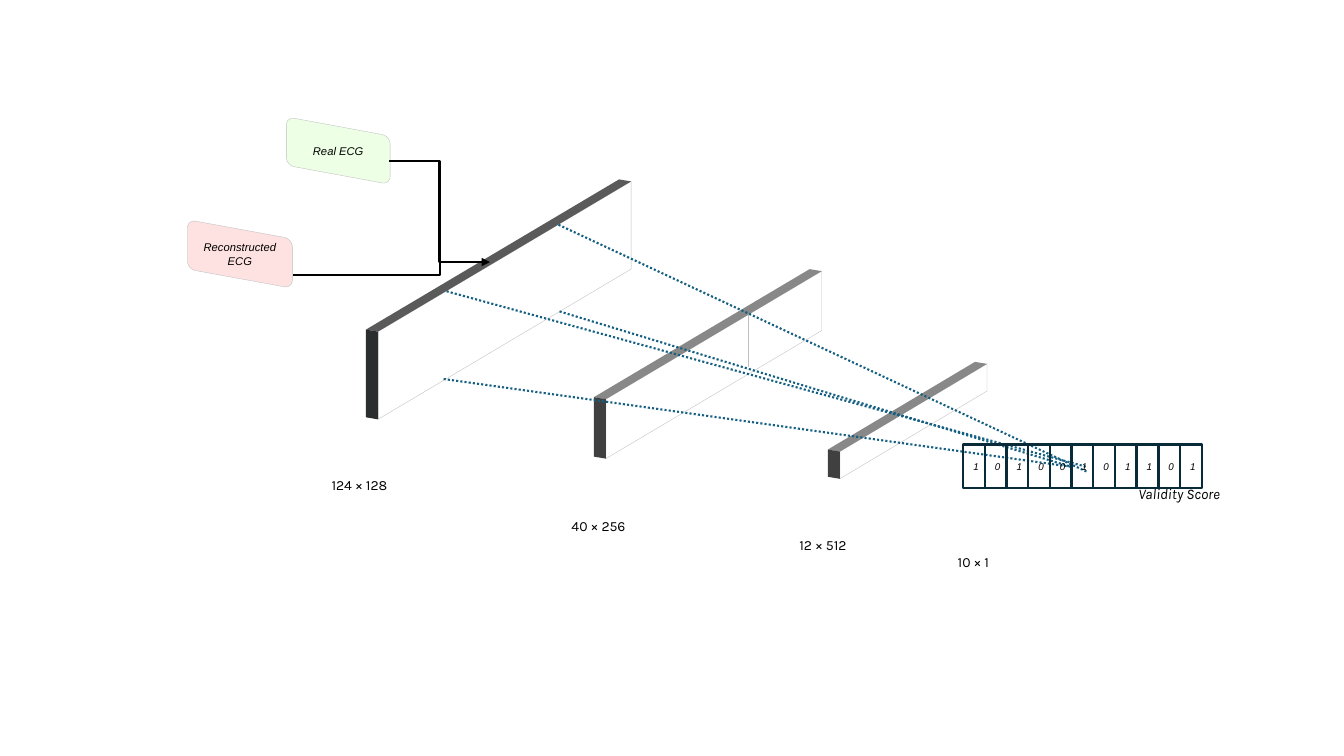
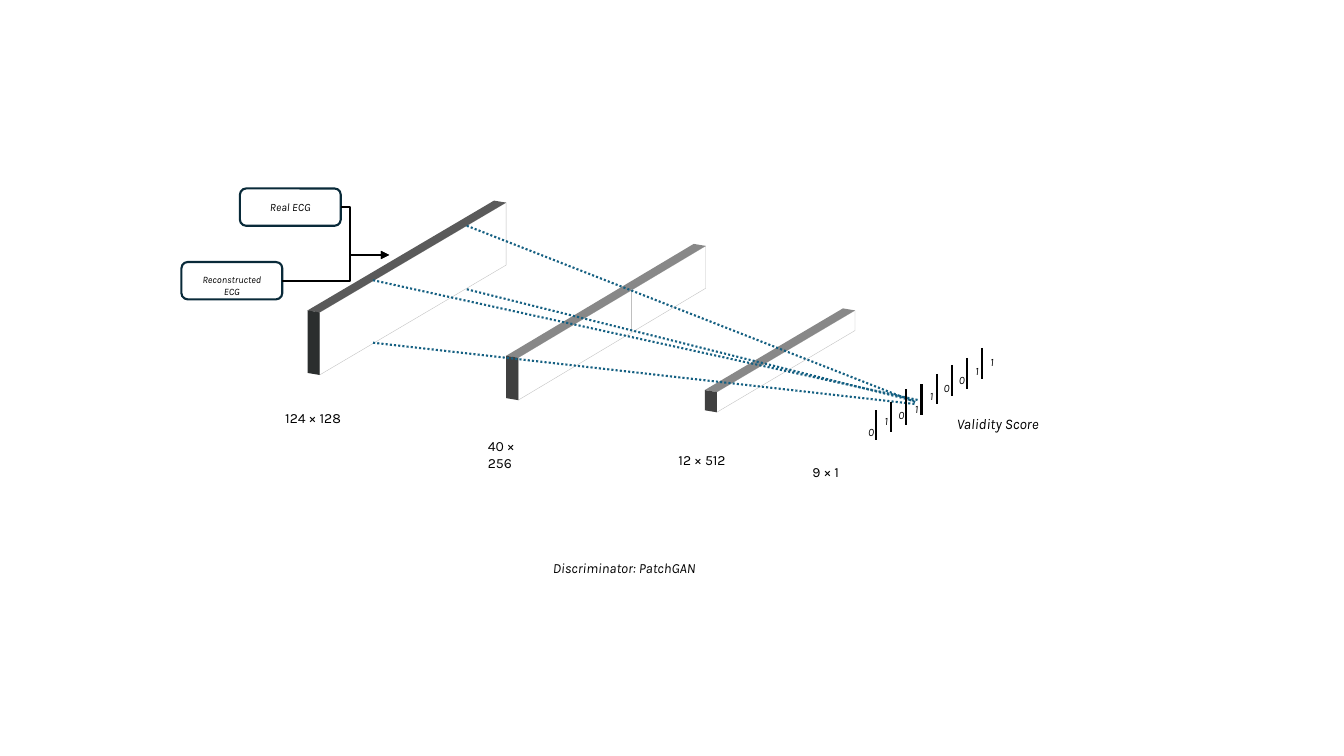
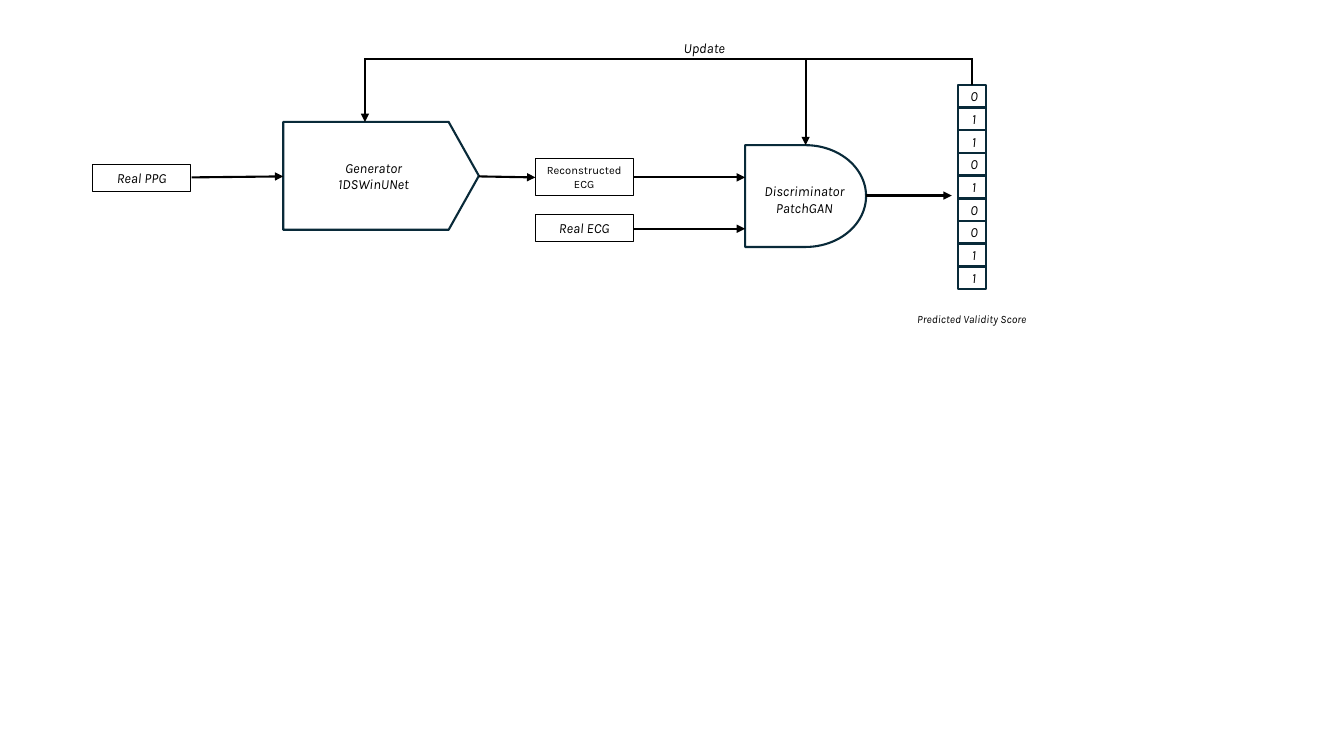
import dataclasses
import math
import typing

import lxml.etree
import pptx
import pptx.dml.color
import pptx.enum.dml
import pptx.enum.shapes
import pptx.enum.text
import pptx.oxml.ns
import pptx.util

Inches = pptx.util.Inches
Pt = pptx.util.Pt
Kind = pptx.enum.shapes.MSO_SHAPE
Align = pptx.enum.text.PP_ALIGN
Anchor = pptx.enum.text.MSO_ANCHOR
qn = pptx.oxml.ns.qn

Point = tuple[float, float]
Box = tuple[float, float, float, float]
INSETS: Box = (0.1, 0.05, 0.1, 0.05)
DIGIT_INSETS: Box = (0.04, 0, 0, 0)


@dataclasses.dataclass(frozen=True)
class Theme:
    ink: str = "000000"
    navy: str = "092A39"
    teal: str = "156082"
    white: str = "FFFFFF"
    hairline: str = "BFBFBF"
    real: str = "EDFFE5"
    fake: str = "FEE2E2"
    dark_top: str = "5A5A5A"
    dark_side: str = "2B2E2E"
    light_top: str = "888888"
    light_side: str = "404040"
    font: str = "Karla"
    font_alt: str = "Arial"
    body: float = 10
    score: float = 10.5
    small: float = 8
    tiny: float = 7
    stroke: float = 1.5
    thin: float = 0.75
    hair: float = 0.25


THEME = Theme()


class Slab(typing.NamedTuple):
    """A layer drawn as a slanted block, placed by the top left corner of its face."""
    x: float
    y: float
    run: float
    rise: float
    height: float
    top: str = THEME.light_top
    side: str = THEME.light_side


class Label(typing.NamedTuple):
    text: str
    box: Box


class Ray(typing.NamedTuple):
    start: Point
    end: Point


def rgb(code: str) -> pptx.dml.color.RGBColor:
    return pptx.dml.color.RGBColor.from_string(code)


def write(frame, text: str, *, size: float = THEME.body, font: str = THEME.font,
          italic: bool = True, align=Align.CENTER, anchor=Anchor.MIDDLE,
          insets: Box = INSETS) -> None:
    """Fill a text frame, one paragraph per line; insets run left, top, right, bottom."""
    frame.word_wrap = True
    frame.vertical_anchor = anchor
    (frame.margin_left, frame.margin_top,
     frame.margin_right, frame.margin_bottom) = map(Inches, insets)
    for index, line in enumerate(text.split("\n")):
        paragraph = frame.add_paragraph() if index else frame.paragraphs[0]
        paragraph.alignment = align
        run = paragraph.add_run()
        run.text = line
        run.font.name = font
        run.font.size = Pt(size)
        run.font.italic = italic
        run.font.color.rgb = rgb(THEME.ink)


def add_text(slide, text: str, box: Box, **fmt) -> None:
    frame = slide.shapes.add_textbox(*map(Inches, box)).text_frame
    write(frame, text, **{"anchor": Anchor.TOP, **fmt})


def paint(shape, fill: str | None, line: str | None, width: float) -> None:
    shape.shadow.inherit = False
    if fill:
        shape.fill.solid()
        shape.fill.fore_color.rgb = rgb(fill)
    else:
        shape.fill.background()
    if line:
        shape.line.color.rgb = rgb(line)
        shape.line.width = Pt(width)
    else:
        shape.line.fill.background()


def add_block(slide, kind, box: Box, text: str = "", *, line: str = THEME.navy,
              width: float = THEME.stroke, adjust: float | None = None, **fmt) -> None:
    block = slide.shapes.add_shape(kind, *map(Inches, box))
    paint(block, None, line, width)
    if adjust is not None:
        block.adjustments[0] = adjust
    write(block.text_frame, text, **fmt)


def add_polygon(slide, points: list[Point], fill: str, line: str | None = None):
    corners = [(Inches(x), Inches(y)) for x, y in points]
    builder = slide.shapes.build_freeform(*corners[0], scale=1.0)
    builder.add_line_segments(corners[1:], close=True)
    polygon = builder.convert_to_shape()
    paint(polygon, fill, line, THEME.hair)
    return polygon


def add_line(slide, start: Point, end: Point, *, color: str = THEME.ink,
             width: float = THEME.stroke, arrow: bool = False, dotted: bool = False,
             bend: float | None = None) -> None:
    """Join two points; bend is the share of the width at which an elbow turns."""
    kinds = pptx.enum.shapes.MSO_CONNECTOR
    kind = kinds.STRAIGHT if bend is None else kinds.ELBOW
    connector = slide.shapes.add_connector(kind, *map(Inches, (*start, *end)))
    connector.line.color.rgb = rgb(color)
    connector.line.width = Pt(width)
    if dotted:
        connector.line.dash_style = pptx.enum.dml.MSO_LINE.ROUND_DOT
    properties = connector._element.spPr
    if arrow:
        lxml.etree.SubElement(properties.find(qn("a:ln")), qn("a:tailEnd"), type="triangle")
    if bend is not None:
        guides = properties.find(qn("a:prstGeom")).find(qn("a:avLst"))
        lxml.etree.SubElement(guides, qn("a:gd"), name="adj1",
                              fmla=f"val {round(bend * 100000)}")
    lxml.etree.SubElement(properties, qn("a:effectLst"))


def add_slab(slide, slab: Slab) -> None:
    depth_x, depth_y = 0.12, 0.02
    x, y, height = slab.x, slab.y, slab.height
    far_x, far_y = x + slab.run, y - slab.rise
    back = (x - depth_x, y - depth_y)
    far_back = (far_x - depth_x, far_y - depth_y)
    add_polygon(slide, [(x, y), (far_x, far_y), (far_x, far_y + height), (x, y + height)],
                THEME.white, THEME.hairline)
    add_polygon(slide, [(x, y), back, far_back, (far_x, far_y)], slab.top)
    add_polygon(slide, [(x, y), back, (back[0], back[1] + height), (x, y + height)], slab.side)


def add_skewed_card(slide, text: str, box: Box, fill: str) -> None:
    """Draw a rounded card whose right side hangs lower than its left side."""
    left, top, width, height = box
    radius, drop, steps = 0.08, 0.19, 6
    centers = [(width - radius, height - radius), (radius, height - radius),
               (radius, radius), (width - radius, radius)]
    outline = []
    for quarter, (center_x, center_y) in enumerate(centers):
        for step in range(steps + 1):
            angle = (quarter + step / steps) * math.pi / 2
            x = center_x + radius * math.cos(angle)
            y = center_y + radius * math.sin(angle)
            outline.append((left + x, top + y + drop * x / width))
    card = add_polygon(slide, outline, fill, THEME.hairline)
    write(card.text_frame, text, size=THEME.small, font=THEME.font_alt)


def add_network(slide, slabs: list[Slab], seam: Ray, rays: list[Ray],
                sizes: list[Label]) -> None:
    for slab in slabs:
        add_slab(slide, slab)
    add_line(slide, *seam, color=THEME.hairline, width=THEME.hair)
    for ray in rays:
        add_line(slide, *ray, color=THEME.teal, dotted=True)
    for label in sizes:
        add_text(slide, label.text, label.box, italic=False, align=Align.LEFT)


def add_score_cells(slide, digits: str, first: Box, step: Point, **fmt) -> None:
    left, top, width, height = first
    for index, digit in enumerate(digits):
        box = (left + index * step[0], top + index * step[1], width, height)
        add_block(slide, Kind.RECTANGLE, box, digit, insets=DIGIT_INSETS, **fmt)


def build_skewed_discriminator(slide) -> None:
    add_network(
        slide,
        [Slab(3.75, 3.29, 2.51, 1.49, 0.87, THEME.dark_top, THEME.dark_side),
         Slab(6.01, 3.96, 2.14, 1.27, 0.59),
         Slab(8.33, 4.48, 1.46, 0.87, 0.27)],
        Ray((7.42, 3.12), (7.42, 3.64)),
        [Ray((4.43, 2.89), (10.77, 4.63)), Ray((5.54, 2.23), (10.78, 4.68)),
         Ray((4.4, 3.76), (10.62, 4.63)), Ray((5.55, 3.09), (10.62, 4.63))],
        [Label("124 × 128", (3.19, 4.68, 0.93, 0.38)),
         Label("40 × 256", (5.57, 5.08, 0.84, 0.38)),
         Label("12 × 512", (7.83, 5.27, 0.84, 0.38)),
         Label("10 × 1", (9.4, 5.44, 0.56, 0.27))])
    add_text(slide, "Validity Score", (10.87, 4.76, 1.65, 0.4), size=THEME.score)
    add_skewed_card(slide, "Real ECG", (2.84, 1.16, 1.03, 0.48), THEME.real)
    add_skewed_card(slide, "Reconstructed ECG", (1.86, 2.18, 1.04, 0.49), THEME.fake)
    add_score_cells(slide, "10100101101", (9.55, 4.41, 0.22, 0.43), (0.215, 0),
                    size=THEME.tiny, font=THEME.font_alt)
    add_line(slide, (3.86, 1.6), (4.86, 2.6), arrow=True, bend=0.5)
    add_line(slide, (2.91, 2.73), (4.36, 2.6), bend=1)


def build_discriminator(slide) -> None:
    add_text(slide, "Discriminator: PatchGAN", (4.89, 5.5, 2.6, 0.27))
    add_network(
        slide,
        [Slab(3.17, 3.1, 1.85, 1.09, 0.62, THEME.dark_top, THEME.dark_side),
         Slab(5.14, 3.55, 1.86, 1.11, 0.42),
         Slab(7.11, 3.89, 1.37, 0.81, 0.2)],
        Ray((6.26, 2.87), (6.26, 3.27)),
        [Ray((3.7, 2.78), (9.11, 3.97)), Ray((4.63, 2.24), (9.08, 3.99)),
         Ray((3.7, 3.4), (9.09, 4.01)), Ray((4.63, 2.87), (9.08, 3.98))],
        [Label("124 × 128", (2.73, 4.01, 0.79, 0.27)),
         Label("40 × 256", (4.74, 4.29, 0.71, 0.27)),
         Label("12 × 512", (6.63, 4.43, 0.71, 0.27)),
         Label("9 × 1", (7.96, 4.55, 0.48, 0.27))])
    pitch = 0.15
    dividers = [(4.07, 4.37), (3.99, 4.29), (3.86, 4.22), (3.81, 4.12),
                (3.71, 4.01), (3.62, 3.93), (3.55, 3.86), (3.45, 3.76)]
    for index, (top, bottom) in enumerate(dividers):
        x = 8.69 + index * pitch
        add_line(slide, (x, top), (x, bottom))
    digit_tops = (4.17, 4.06, 4, 3.94, 3.81, 3.73, 3.65, 3.56, 3.47)
    for index, (digit, top) in enumerate(zip("010110011", digit_tops)):
        add_text(slide, digit, (8.5 + index * pitch, top, 0.24, 0.24), size=THEME.small,
                 anchor=Anchor.MIDDLE, insets=DIGIT_INSETS)
    add_text(slide, "Validity Score", (9.2, 4.07, 1.39, 0.29), size=THEME.score)
    add_block(slide, Kind.ROUNDED_RECTANGLE, (2.38, 1.87, 1, 0.37), "Real ECG",
              size=THEME.small)
    add_block(slide, Kind.ROUNDED_RECTANGLE, (1.8, 2.6, 1, 0.37), "Reconstructed ECG",
              size=THEME.tiny, insets=(0.18, 0.09, 0.18, 0))
    add_line(slide, (3.38, 2.05), (3.86, 2.53), arrow=True, bend=0.19)
    add_line(slide, (2.8, 2.79), (3.86, 2.53), arrow=True, bend=0.63)


def build_training_loop(slide) -> None:
    add_block(slide, Kind.PENTAGON, (2.81, 1.21, 1.94, 1.07), "Generator\n1DSWinUNet",
              adjust=0.28)
    add_block(slide, Kind.FLOWCHART_DELAY, (7.39, 1.44, 1.2, 1.01),
              "Discriminator\nPatchGAN", insets=(0.15, 0.07, 0, 0))
    signal = {"line": THEME.ink, "width": THEME.thin}
    add_block(slide, Kind.RECTANGLE, (0.92, 1.63, 0.97, 0.27), "Real PPG", **signal)
    add_block(slide, Kind.RECTANGLE, (5.31, 1.57, 0.97, 0.37), "Reconstructed ECG",
              size=THEME.small, italic=False, **signal)
    add_block(slide, Kind.RECTANGLE, (5.31, 2.13, 0.97, 0.27), "Real ECG", **signal)
    add_score_cells(slide, "011010011", (9.5, 0.84, 0.28, 0.23), (0, 0.225))
    flows = [Ray((1.9, 1.76), (2.81, 1.75)), Ray((4.75, 1.75), (5.31, 1.76)),
             Ray((6.28, 1.76), (7.39, 1.76)), Ray((6.28, 2.27), (7.39, 2.27)),
             Ray((8.59, 1.94), (9.44, 1.94))]
    update_y, score_x, generator_x, discriminator_x = 0.59, 9.64, 3.62, 7.99
    flows += [Ray((generator_x, update_y), (generator_x, 1.21)),
              Ray((discriminator_x, update_y), (discriminator_x, 1.44))]
    for flow in flows:
        add_line(slide, *flow, arrow=True)
    add_line(slide, (score_x, 0.84), (score_x, update_y))
    add_line(slide, (score_x + 0.01, update_y), (generator_x - 0.01, update_y))
    add_text(slide, "Update", (6.46, 0.34, 1.05, 0.27))
    add_text(slide, "Predicted Validity Score", (8.86, 3.05, 1.56, 0.24), size=THEME.small)


def main() -> None:
    deck = pptx.Presentation()
    deck.slide_width, deck.slide_height = Inches(13.33), Inches(7.5)
    blank = deck.slide_layouts[6]
    for build in (build_skewed_discriminator, build_discriminator, build_training_loop):
        build(deck.slides.add_slide(blank))
    deck.save("out.pptx")


if __name__ == "__main__":
    main()
